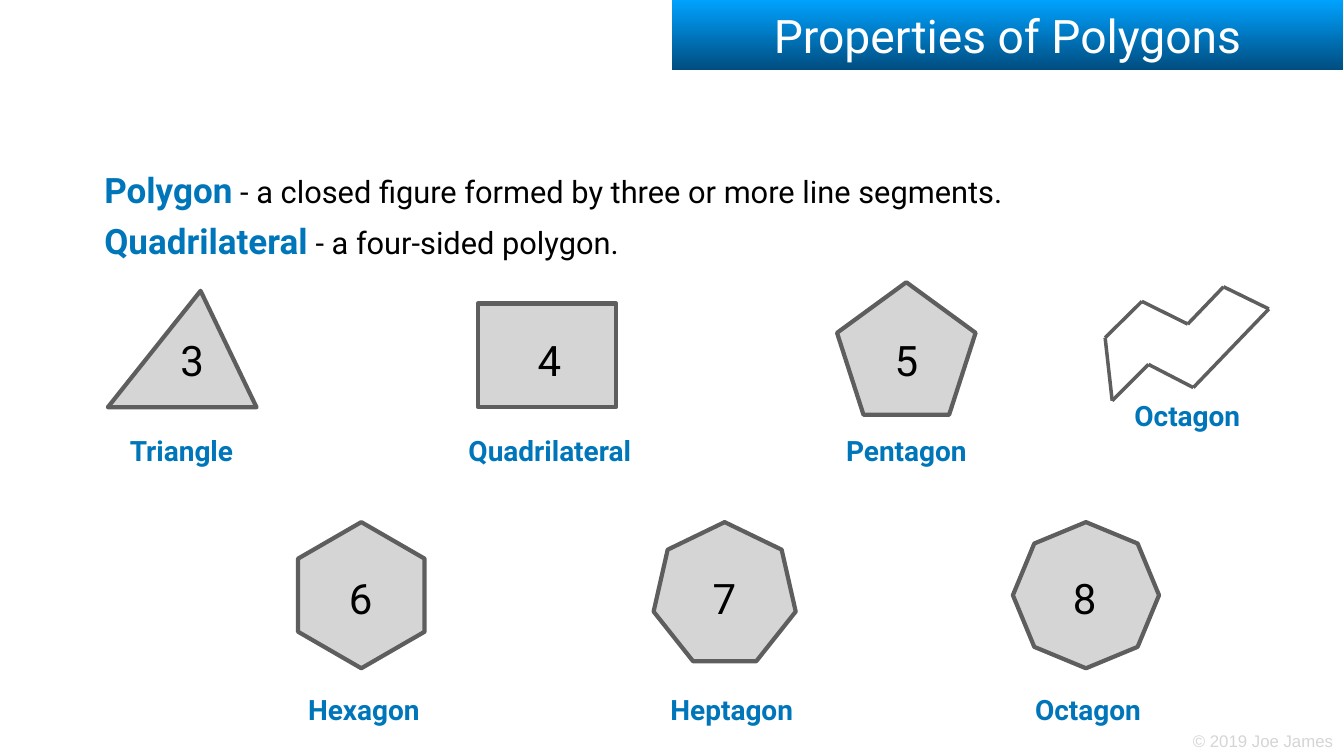
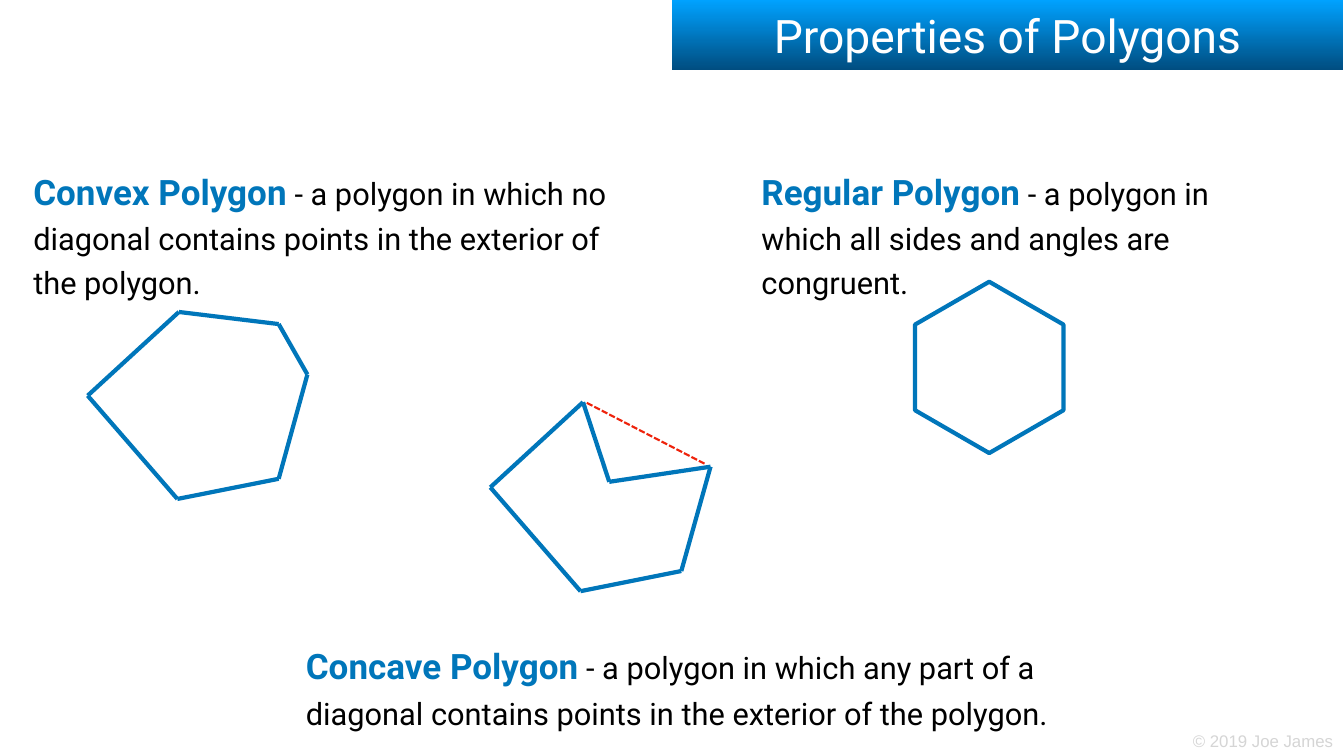
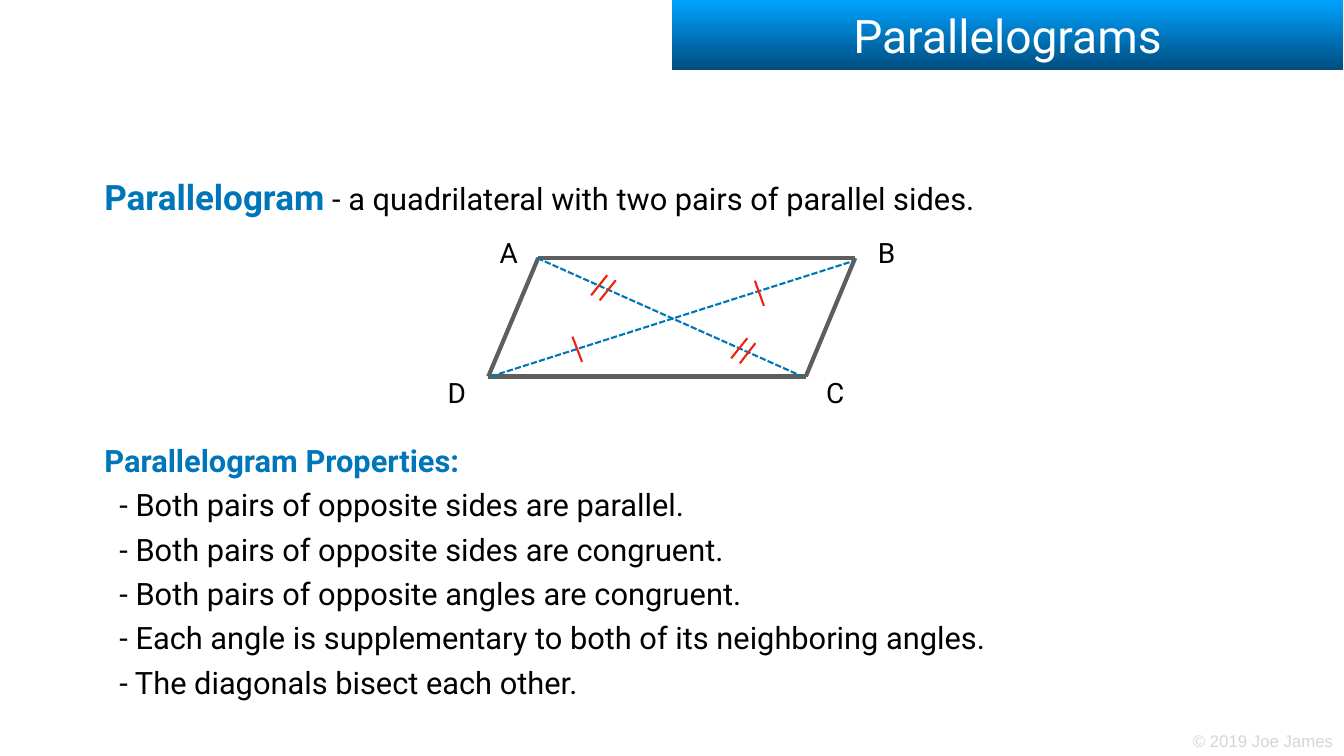
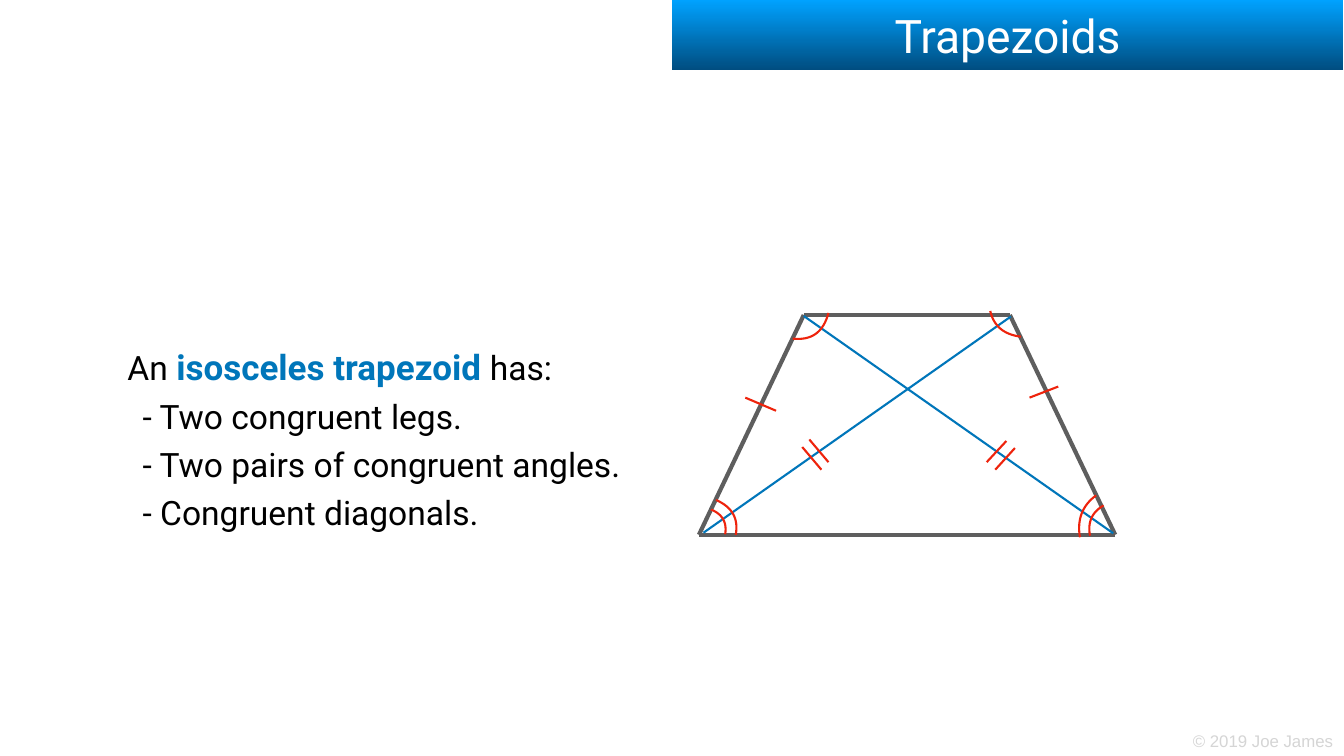
from dataclasses import dataclass
from math import cos, pi, sin

from lxml import etree
from pptx import Presentation
from pptx.dml.color import RGBColor
from pptx.enum.dml import MSO_LINE
from pptx.enum.shapes import MSO_CONNECTOR, MSO_SHAPE
from pptx.enum.text import MSO_ANCHOR, MSO_AUTO_SIZE, PP_ALIGN
from pptx.oxml.ns import qn
from pptx.util import Inches, Pt

STRAIGHT = MSO_CONNECTOR.STRAIGHT
DASHED = MSO_LINE.SQUARE_DOT
LEFT, CENTER = PP_ALIGN.LEFT, PP_ALIGN.CENTER
TOP, MIDDLE = MSO_ANCHOR.TOP, MSO_ANCHOR.MIDDLE


@dataclass(frozen=True)
class Theme:
    font: str = "Roboto"
    footer_font: str = "Arial"
    blue: str = "0076BA"
    band_top: str = "00A2FF"
    band_bottom: str = "004D80"
    gray: str = "5E5E5E"
    light_gray: str = "D5D5D5"
    red: str = "EE230C"
    black: str = "000000"
    white: str = "FFFFFF"
    title: int = 66
    number: int = 60
    term: int = 50
    large_body: int = 48
    body: int = 44
    label: int = 40
    footer: int = 24
    thick: int = 6
    medium: int = 5
    thin: int = 3
    inset: float = 0.06
    list_indent: float = 0.3


theme = Theme()


def write_text(shape, box, paragraphs, align=LEFT, anchor=TOP, wrap=True,
               spacing=1.0, font=theme.font):
    """Place shape at box; each paragraph is a list of (text, size, colour, bold)."""
    shape.left, shape.top, shape.width, shape.height = map(Inches, box)
    frame = shape.text_frame
    frame.auto_size = MSO_AUTO_SIZE.NONE
    frame.word_wrap = wrap
    frame.vertical_anchor = anchor
    frame.margin_left = frame.margin_right = Inches(theme.inset)
    frame.margin_top = frame.margin_bottom = Inches(theme.inset)
    for index, runs in enumerate(paragraphs):
        paragraph = frame.add_paragraph() if index else frame.paragraphs[0]
        properties = paragraph._p.get_or_add_pPr()
        indent = theme.list_indent if runs[0][0].startswith("- ") else 0
        properties.set("marL", str(Inches(indent)))
        properties.set("indent", "0")
        etree.SubElement(properties, qn("a:buNone"))
        paragraph.alignment = align
        paragraph.line_spacing = spacing
        paragraph.space_before = Pt(0)
        for text, size, colour, bold in runs:
            run = paragraph.add_run()
            run.text = text
            run.font.name = font
            run.font.size = Pt(size)
            run.font.bold = bold
            run.font.color.rgb = RGBColor.from_string(colour)


def draw_outline(slide, points, colour, width, fill=None, close=True):
    corners = [(Inches(x), Inches(y)) for x, y in points]
    builder = slide.shapes.build_freeform(*corners[0], scale=1.0)
    builder.add_line_segments(corners[1:], close=close)
    outline = builder.convert_to_shape()
    outline.shadow.inherit = False
    outline.line.color.rgb = RGBColor.from_string(colour)
    outline.line.width = Pt(width)
    if fill:
        outline.fill.solid()
        outline.fill.fore_color.rgb = RGBColor.from_string(fill)
    else:
        outline.fill.background()


presentation = Presentation()
presentation.slide_width = Inches(26.67)
presentation.slide_height = Inches(15)

# Title band, body text and footer of every slide
titles = ["Properties of Polygons", "Properties of Polygons", "Parallelograms", "Trapezoids"]
body_boxes = [(2.01, 3.12, 18.46, 1.95), (0.6, 3.15, 11.71, 2.69),
              (2.01, 8.56, 18.44, 5.2), (2.47, 6.63, 10.78, 3.81)]
bodies = [
    [[("Polygon", theme.term, theme.blue, True),
      (" - a closed figure formed by three or more line segments.",
       theme.body, theme.black, False)],
     [("Quadrilateral", theme.term, theme.blue, True),
      (" - a four-sided polygon.", theme.body, theme.black, False)]],
    [[("Convex Polygon", theme.term, theme.blue, True),
      (" - a polygon in which no diagonal contains points in the exterior of the polygon.",
       theme.body, theme.black, False)]],
    [[("Parallelogram Properties:", theme.body, theme.blue, True)]] + [
        [("- " + text, theme.body, theme.black, False)] for text in (
            "Both pairs of opposite sides are parallel.",
            "Both pairs of opposite sides are congruent.",
            "Both pairs of opposite angles are congruent.",
            "Each angle is supplementary to both of its neighboring angles.",
            "The diagonals bisect each other.")],
    [[("An ", theme.large_body, theme.black, False),
      ("isosceles trapezoid", theme.term, theme.blue, True),
      (" has:", theme.large_body, theme.black, False)]] + [
        [("- " + text, theme.large_body, theme.black, False)] for text in (
            "Two congruent legs.", "Two pairs of congruent angles.", "Congruent diagonals.")],
]
slides = []
for title, body_box, body in zip(titles, body_boxes, bodies):
    slide = presentation.slides.add_slide(presentation.slide_layouts[1])
    band = slide.shapes.title
    write_text(band, (13.33, 0, 13.33, 1.39),
               [[(title, theme.title, theme.white, False)]], CENTER, MIDDLE)
    band.fill.gradient()
    band.fill.gradient_angle = 270
    for stop, colour in zip(band.fill.gradient_stops, (theme.band_top, theme.band_bottom)):
        stop.color.rgb = RGBColor.from_string(colour)
    for position, stop in enumerate(band.fill.gradient_stops):
        stop.position = position
    write_text(slide.placeholders[1], body_box, body, spacing=1.2)
    write_text(slide.shapes.add_textbox(0, 0, 0, 0), (23.61, 14.45, 2.91, 0.49),
               [[("© 2019 Joe James", theme.footer, theme.light_gray, False)]],
               anchor=MIDDLE, wrap=False, font=theme.footer_font)
    slides.append(slide)
polygons, convexity, parallelograms, trapezoids = slides

# Figures made of straight sides: slide, colour, width, corners in order
figures = [
    (polygons, theme.gray, theme.medium,
     [(21.93, 6.7), (22.66, 5.98), (23.57, 6.43), (24.28, 5.69),
      (25.18, 6.13), (23.68, 7.69), (22.79, 7.23), (22.07, 7.95)]),
    (convexity, theme.blue, theme.thick,
     [(1.74, 7.85), (3.55, 6.19), (5.53, 6.43), (6.1, 7.43), (5.53, 9.5), (3.52, 9.9)]),
    (convexity, theme.blue, theme.thick,
     [(9.73, 9.67), (11.57, 7.98), (12.09, 9.56), (14.1, 9.26), (13.52, 11.33), (11.52, 11.73)]),
    (parallelograms, theme.gray, theme.thick,
     [(10.68, 5.12), (16.97, 5.12), (15.99, 7.47), (9.69, 7.47)]),
    (trapezoids, theme.gray, theme.thick,
     [(15.95, 6.25), (20.04, 6.25), (22.13, 10.61), (13.87, 10.61)]),
]
line_groups = [
    (slide, colour, width, None, list(zip(corners, corners[1:] + corners[:1])))
    for slide, colour, width, corners in figures
]

# Diagonals and congruence ticks
line_groups += [
    (convexity, theme.red, theme.thin, DASHED, [((13.98, 9.2), (11.62, 7.98))]),
    (parallelograms, theme.blue, theme.thin, DASHED,
     [((9.74, 7.47), (16.93, 5.18)), ((10.66, 5.12), (15.9, 7.46))]),
    (parallelograms, theme.red, theme.thin, None,
     [((14.51, 7.11), (14.83, 6.71)), ((14.68, 7.21), (14.99, 6.81)),
      ((11.73, 5.86), (12.05, 5.46)), ((11.9, 5.96), (12.22, 5.56)),
      ((15.16, 6.07), (14.98, 5.57)), ((11.55, 7.18), (11.36, 6.68))]),
    (trapezoids, theme.blue, theme.thin, None,
     [((22.09, 10.58), (15.95, 6.27)), ((20.06, 6.28), (13.96, 10.57))]),
    (trapezoids, theme.red, theme.thin, None,
     [((19.97, 8.75), (19.58, 9.17)), ((20.14, 8.89), (19.75, 9.32)),
      ((16.06, 8.72), (16.44, 9.17)), ((15.92, 8.87), (16.3, 9.32)),
      ((14.79, 7.89), (15.4, 8.15)), ((20.43, 7.89), (21, 7.67))]),
]
for slide, colour, width, dash, segments in line_groups:
    for start, end in segments:
        connector = slide.shapes.add_connector(STRAIGHT, *map(Inches, start + end))
        connector.line.color.rgb = RGBColor.from_string(colour)
        connector.line.width = Pt(width)
        if dash:
            connector.line.dash_style = dash
        etree.SubElement(connector._element.spPr, qn("a:effectLst"))

# Polygons by number of sides
draw_outline(polygons, [(2.14, 8.08), (3.98, 5.77), (5.09, 8.08)],
             theme.gray, theme.thick, theme.light_gray)
for kind, box in [(MSO_SHAPE.RECTANGLE, (9.48, 6.02, 2.75, 2.05)),
                  (MSO_SHAPE.REGULAR_PENTAGON, (16.61, 5.6, 2.75, 2.63)),
                  (MSO_SHAPE.HEPTAGON, (12.97, 10.36, 2.82, 2.76))]:
    shape = polygons.shapes.add_shape(kind, *map(Inches, box))
    shape.shadow.inherit = False
    shape.fill.solid()
    shape.fill.fore_color.rgb = RGBColor.from_string(theme.light_gray)
    shape.line.color.rgb = RGBColor.from_string(theme.gray)
    shape.line.width = Pt(theme.thick)

regular_polygons = [
    (polygons, 6, 7.17, 11.81, 1.45, theme.gray, theme.light_gray),
    (polygons, 8, 21.55, 11.81, 1.45, theme.gray, theme.light_gray),
    (convexity, 6, 19.63, 7.29, 1.7, theme.blue, theme.white),
]
for slide, sides, center_x, center_y, radius, colour, fill in regular_polygons:
    angles = [2 * pi * side / sides for side in range(sides)]
    corners = [(center_x + radius * sin(angle), center_y - radius * cos(angle))
               for angle in angles]
    draw_outline(slide, corners, colour, theme.thick, fill)

polygon_rows = [
    (6.59, 8.54, [("3", 3.52, "Triangle", 2.49, 2.22),
                  ("4", 10.61, "Quadrilateral", 9.13, 3.56),
                  ("5", 17.69, "Pentagon", 16.65, 2.67)]),
    (11.31, 13.68, [("6", 6.86, "Hexagon", 5.98, 2.48),
                    ("7", 14.08, "Heptagon", 13.16, 2.72),
                    ("8", 21.23, "Octagon", 20.39, 2.4)]),
]
captions = [(polygons, "Octagon", (22.36, 7.86, 2.4, 0.78), theme.label, theme.blue, True)]
for number_top, name_top, row in polygon_rows:
    for number, number_left, name, name_left, name_width in row:
        captions += [
            (polygons, number, (number_left, number_top, 0.59, 1.09),
             theme.number, theme.black, False),
            (polygons, name, (name_left, name_top, name_width, 0.78),
             theme.label, theme.blue, True),
        ]

# Corner letters of the parallelogram
for letter, left, top in [("A", 9.84, 4.63), ("B", 17.34, 4.63),
                          ("C", 16.32, 7.4), ("D", 8.81, 7.4)]:
    captions.append((parallelograms, letter, (left, top, 0.51, 0.76),
                     theme.label, theme.black, False))
for slide, text, box, size, colour, bold in captions:
    write_text(slide.shapes.add_textbox(0, 0, 0, 0), box,
               [[(text, size, colour, bold)]], CENTER, MIDDLE, wrap=False)

# Further definitions
definitions = [
    (convexity, (6.01, 12.57, 15.57, 1.83), "Concave Polygon",
     " - a polygon in which any part of a diagonal contains points in the exterior of the polygon."),
    (convexity, (15.05, 3.15, 10.65, 2.69), "Regular Polygon",
     " - a polygon in which all sides and angles are congruent."),
    (parallelograms, (2.01, 3.26, 21.47, 0.94), "Parallelogram",
     " - a quadrilateral with two pairs of parallel sides."),
]
for slide, box, term, meaning in definitions:
    write_text(slide.shapes.add_textbox(0, 0, 0, 0), box,
               [[(term, theme.term, theme.blue, True),
                 (meaning, theme.body, theme.black, False)]], spacing=1.2)

# Angle marks of the trapezoid: start, two control points, end
angle_arcs = [
    [(14.6, 10.61), (14.66, 10.29), (14.53, 10.06), (14.21, 9.92)],
    [(14.39, 10.6), (14.43, 10.36), (14.33, 10.2), (14.11, 10.11)],
    [(21.75, 9.83), (21.48, 10.03), (21.37, 10.3), (21.43, 10.66)],
    [(21.9, 10.03), (21.67, 10.16), (21.58, 10.36), (21.63, 10.63)],
    [(15.73, 6.72), (16.11, 6.76), (16.34, 6.59), (16.44, 6.21)],
    [(19.65, 6.17), (19.72, 6.47), (19.92, 6.64), (20.26, 6.68)],
]
steps = 16
for controls in angle_arcs:
    points = []
    for step in range(steps + 1):
        t = step / steps
        weights = ((1 - t) ** 3, 3 * t * (1 - t) ** 2, 3 * t ** 2 * (1 - t), t ** 3)
        points.append([sum(weight * value for weight, value in zip(weights, values))
                       for values in zip(*controls)])
    draw_outline(trapezoids, points, theme.red, theme.thin, close=False)

presentation.save("out.pptx")
